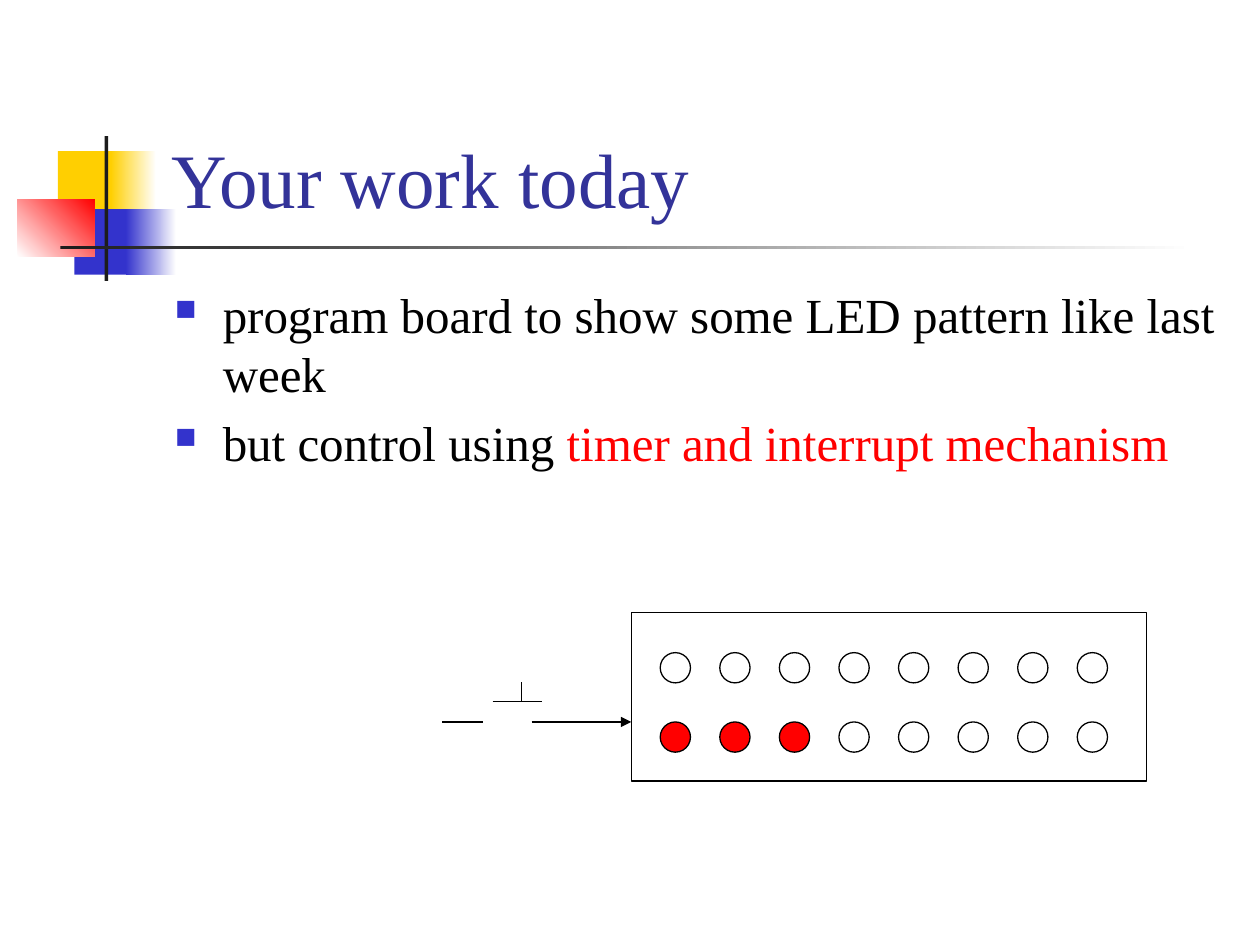
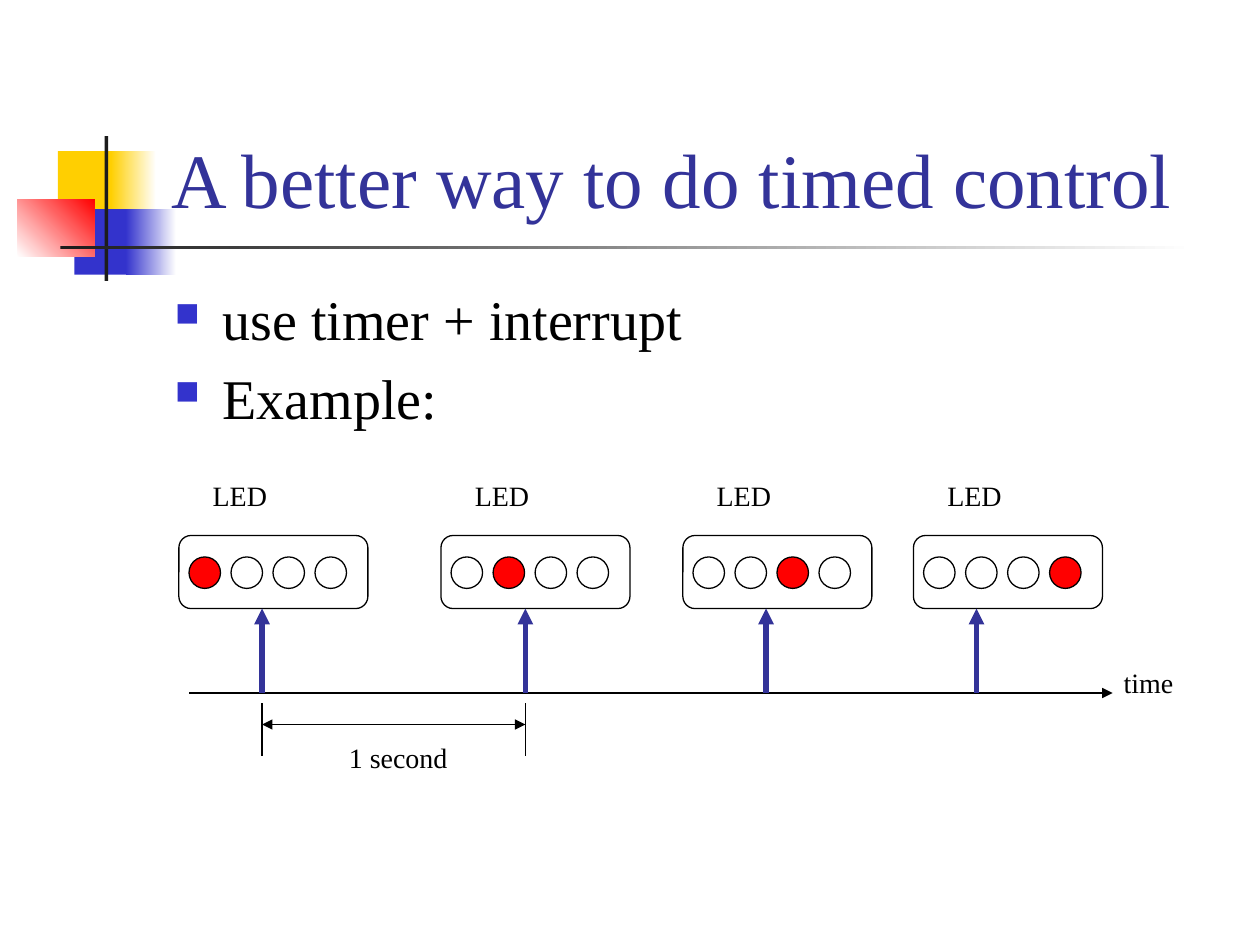
from lxml import etree
from pptx import Presentation
from pptx import util as u
from pptx.dml.color import RGBColor
from pptx.enum import shapes, text
from pptx.oxml.ns import qn

BLACK = RGBColor(0x00, 0x00, 0x00)
WHITE = RGBColor(0xFF, 0xFF, 0xFF)
RED = RGBColor(0xFF, 0x00, 0x00)
YELLOW = RGBColor(0xFF, 0xCF, 0x01)
BLUE = RGBColor(0x33, 0x33, 0xCC)
NAVY = RGBColor(0x33, 0x33, 0x99)
CHARCOAL = RGBColor(0x1C, 0x1C, 0x1C)

FONT = "Times New Roman"
KIND = shapes.MSO_SHAPE

# Title ornament: left, top, width, height, colours (two make a gradient), angle
ORNAMENT = [
    (0.46, 1.2, 0.48, 0.52, [YELLOW], 0),
    (0.88, 1.2, 0.36, 0.52, [YELLOW, WHITE], 0),
    (0.59, 1.66, 0.46, 0.52, [BLUE], 0),
    (1, 1.66, 0.4, 0.52, [BLUE, WHITE], 0),
    (0.14, 1.58, 0.61, 0.46, [WHITE, RED], 45),
    (0.83, 1.08, 0.03, 1.15, [CHARCOAL], 0),
    (0.48, 1.95, 9, 0.03, [CHARCOAL, WHITE], 0),
]


class Deck:
    """Holds the shared style and the slide being drawn."""

    def __init__(self):
        self.presentation = Presentation()
        self.presentation.slide_width = u.Inches(10)
        self.presentation.slide_height = u.Inches(7.5)
        self.slide = None

    def new_slide(self, title):
        layout = self.presentation.slide_layouts[6]
        self.slide = self.presentation.slides.add_slide(layout)
        for left, top, width, height, colors, angle in ORNAMENT:
            self.block(left, top, width, height, colors, angle)
        frame = self.text_frame(1.26, 0.23, 8.52, 1.6)
        frame.vertical_anchor = text.MSO_ANCHOR.BOTTOM
        self.run(frame.paragraphs[0], title, 44, NAVY)

    def shape(self, kind, left, top, width, height):
        shape = self.slide.shapes.add_shape(
            kind, u.Inches(left), u.Inches(top), u.Inches(width), u.Inches(height))
        shape.shadow.inherit = False
        return shape

    def block(self, left, top, width, height, colors, angle):
        shape = self.shape(KIND.RECTANGLE, left, top, width, height)
        shape.line.fill.background()
        if len(colors) == 1:
            shape.fill.solid()
            shape.fill.fore_color.rgb = colors[0]
            return
        shape.fill.gradient()
        shape.fill.gradient_angle = angle
        for stop, color in zip(shape.fill.gradient_stops, colors):
            stop.color.rgb = color

    def outline(self, kind, left, top, width, height, fill=None):
        shape = self.shape(kind, left, top, width, height)
        shape.line.color.rgb = BLACK
        shape.line.width = u.Pt(0.75)
        if fill is None:
            shape.fill.background()
        else:
            shape.fill.solid()
            shape.fill.fore_color.rgb = fill

    def led_row(self, left, top, step, count, size, lit=()):
        for index in range(count):
            self.outline(KIND.OVAL, left + index * step, top, size, size,
                         RED if index in lit else None)

    def line(self, start, end, color=BLACK, width=0.75, arrows=()):
        connector = self.slide.shapes.add_connector(
            shapes.MSO_CONNECTOR.STRAIGHT, *map(u.Inches, (*start, *end)))
        connector.line.color.rgb = color
        connector.line.width = u.Pt(width)
        properties = connector.line._get_or_add_ln()
        for arrow in arrows:
            etree.SubElement(properties, qn(f"a:{arrow}"), type="triangle")
        etree.SubElement(connector._element.spPr, qn("a:effectLst"))

    def text_frame(self, left, top, width, height, wrap=True):
        box = self.slide.shapes.add_textbox(
            u.Inches(left), u.Inches(top), u.Inches(width), u.Inches(height))
        box.text_frame.word_wrap = wrap
        return box.text_frame

    def run(self, paragraph, words, size, color=BLACK):
        run = paragraph.add_run()
        run.text = words
        run.font.name = FONT
        run.font.size = u.Pt(size)
        run.font.color.rgb = color

    def label(self, words, left, top, width):
        frame = self.text_frame(left, top, width, 0.37, wrap=False)
        frame.auto_size = text.MSO_AUTO_SIZE.SHAPE_TO_FIT_TEXT
        self.run(frame.paragraphs[0], words, 16)

    def bullets(self, items, height, size):
        """Each item is a list of (words, colour) runs."""
        frame = self.text_frame(1.29, 2.21, 8.5, height)
        for index, item in enumerate(items):
            paragraph = frame.add_paragraph() if index else frame.paragraphs[0]
            paragraph.space_before = u.Pt(0.2 * size)
            properties = paragraph._p.get_or_add_pPr()
            properties.set("marL", str(u.Inches(0.38)))
            properties.set("indent", str(-u.Inches(0.38)))
            color = etree.SubElement(properties, qn("a:buClr"))
            etree.SubElement(color, qn("a:srgbClr"), val=str(BLUE))
            etree.SubElement(properties, qn("a:buSzPct"), val="60000")
            etree.SubElement(properties, qn("a:buChar"), char="■")
            for words, run_color in item:
                self.run(paragraph, words, size, run_color)


def work_slide(deck):
    deck.new_slide("Your work today")
    deck.bullets([
        [("program board to show some LED pattern like last week", BLACK)],
        [("but control using ", BLACK), ("timer and interrupt mechanism", RED)],
    ], 1.96, 28)

    # LED board
    deck.outline(KIND.RECTANGLE, 5.01, 4.86, 4.09, 1.34)
    for top, lit in ((5.18, ()), (5.73, (0, 1, 2))):
        deck.led_row(5.24, top, 3.31 / 7, 8, 0.24, lit)

    # Push button wired to the board
    deck.line((3.51, 5.73), (3.83, 5.73))
    deck.line((3.91, 5.57), (4.3, 5.57))
    deck.line((4.14, 5.57), (4.14, 5.41))
    deck.line((4.22, 5.73), (5.01, 5.73), arrows=["tailEnd"])


def timing_slide(deck):
    deck.new_slide("A better way to do timed control")
    deck.bullets([[("use timer + interrupt", BLACK)], [("Example:", BLACK)]], 1.46, 32)

    # Time axis
    deck.line((1.5, 5.5), (8.83, 5.5), arrows=["tailEnd"])
    deck.label("time", 8.82, 5.23, 0.6)

    # One LED panel per tick, with the lit LED moving right
    panel_lefts = (1.42, 3.5, 5.42, 7.25)
    ticks = (2.08, 4.17, 6.08, 7.75)
    for step, (left, tick) in enumerate(zip(panel_lefts, ticks)):
        deck.label("LED", left + 0.17, 3.75, 0.63)
        deck.outline(KIND.ROUNDED_RECTANGLE, left, 4.25, 1.5, 0.58)
        deck.led_row(left + 0.08, 4.42, 1 / 3, 4, 0.25, (step,))
        deck.line((tick, 5.5), (tick, 4.83), NAVY, 3, ["tailEnd"])

    # Interval between the first two ticks
    first, second = ticks[:2]
    for tick in (first, second):
        deck.line((tick, 5.58), (tick, 6))
    deck.line((first, 5.75), (second, 5.75), arrows=["headEnd", "tailEnd"])
    deck.label("1 second", 2.67, 5.83, 0.99)


def main():
    deck = Deck()
    work_slide(deck)
    timing_slide(deck)
    deck.presentation.save("out.pptx")


if __name__ == "__main__":
    main()
